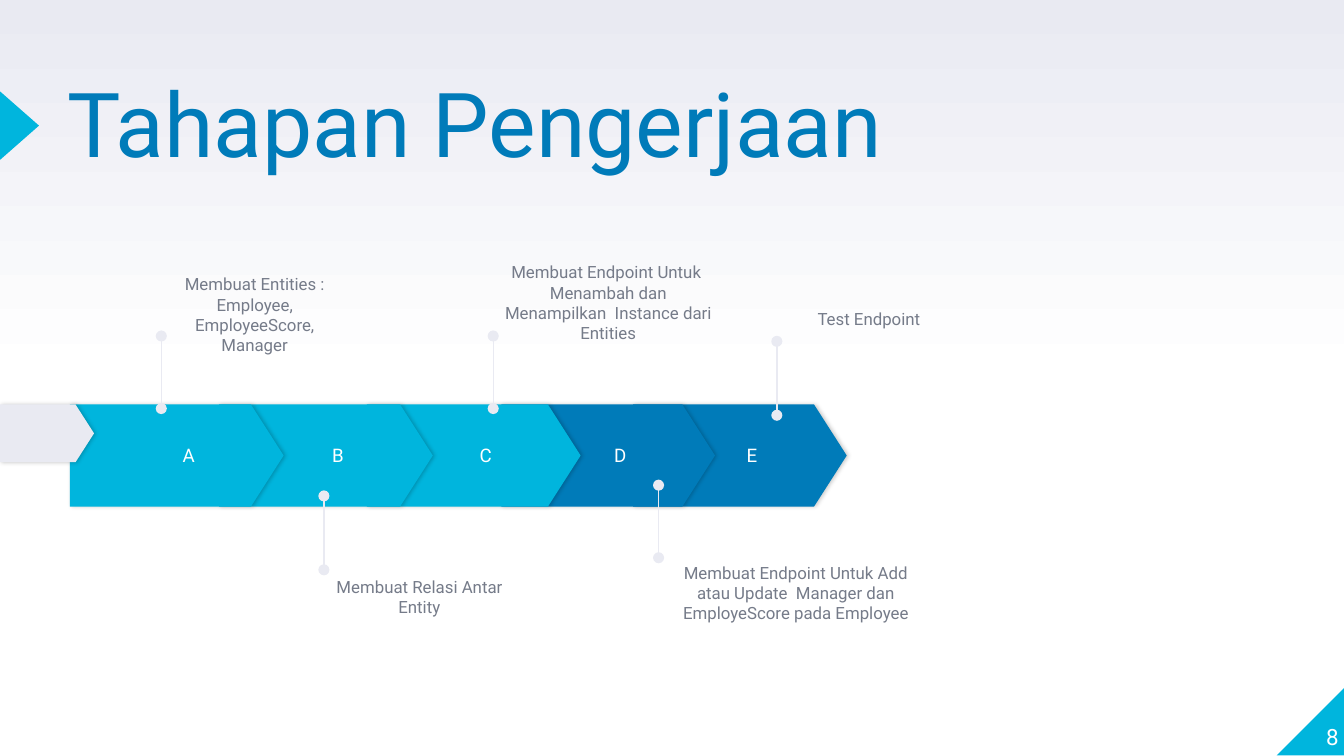
from dataclasses import dataclass

from lxml.etree import SubElement
from pptx import Presentation
from pptx.dml.color import RGBColor
from pptx.enum.shapes import MSO_CONNECTOR, MSO_SHAPE as Preset
from pptx.enum.text import MSO_ANCHOR as Anchor, PP_ALIGN as Align
from pptx.oxml.ns import qn
from pptx.util import Inches, Pt


@dataclass(frozen=True)
class Theme:
    font: str = "Roboto"
    cyan: str = "00B5DD"
    blue: str = "007BB9"
    pale: str = "E9EAF2"
    white: str = "FFFFFF"
    gray: str = "757B89"
    title_size: int = 48
    number_size: int = 12
    stage_size: int = 10
    note_size: int = 9


THEME = Theme()
SLIDE_WIDTH = 10
SLIDE_HEIGHT = SLIDE_WIDTH * 9 / 16

# Stage letter, left edge, colour
STAGES = [
    ("A", 0.52, THEME.cyan),
    ("B", 1.63, THEME.cyan),
    ("C", 2.73, THEME.cyan),
    ("D", 3.73, THEME.blue),
    ("E", 4.71, THEME.blue),
]

# Text, text box (left, top, width), pin (x, lower end, upper end)
NOTES = [
    ("Membuat Entities : Employee, EmployeeScore, Manager",
     (1.21, 2.05, 1.37), (1.2, 3.04, 2.5)),
    ("Membuat Endpoint Untuk  Menambah dan Menampilkan  Instance dari Entities",
     (3.73, 1.96, 1.59), (3.67, 3.04, 2.5)),
    ("Test Endpoint", (5.78, 2.08, 1.37), (5.78, 3.09, 2.54)),
    ("Membuat Relasi Antar Entity",
     (2.43, 4.15, 1.38), (2.41, 4.24, 3.69)),
    ("Membuat Endpoint Untuk Add atau Update  Manager dan "
     "EmployeScore pada Employee", (5, 4.12, 1.84), (4.9, 4.15, 3.61)),
]


def color(value):
    return RGBColor.from_string(value)


def write(shape, text, size, ink, align, anchor, left_inset=0):
    frame = shape.text_frame
    frame.text = text
    frame.word_wrap = True
    frame.vertical_anchor = anchor
    frame.margin_left = Inches(left_inset)
    frame.margin_top = frame.margin_right = frame.margin_bottom = 0
    paragraph = frame.paragraphs[0]
    paragraph.alignment = align
    font = paragraph.runs[0].font
    font.name, font.size = THEME.font, Pt(size)
    font.color.rgb = color(ink)
    return paragraph


def add_text(slide, box, *style):
    shape = slide.shapes.add_textbox(*map(Inches, box))
    write(shape, *style)


def add_preset(slide, preset, box, fill):
    shape = slide.shapes.add_shape(preset, *map(Inches, box))
    shape.fill.solid()
    shape.fill.fore_color.rgb = color(fill)
    shape.line.fill.background()
    shape.shadow.inherit = False
    return shape


def add_arrow(slide, box, fill):
    """Pentagon arrow with a soft shadow to its right."""
    arrow = add_preset(slide, Preset.PENTAGON, box, fill)
    arrow.adjustments[0] = 0.32
    effects = arrow._element.spPr.find(qn("a:effectLst"))
    shadow = SubElement(effects, qn("a:outerShdw"), blurRad=str(Pt(2.2)),
                        dist=str(Pt(0.8)), dir="0", rotWithShape="0")
    shade = SubElement(shadow, qn("a:srgbClr"), val="000000")
    SubElement(shade, qn("a:alpha"), val="20000")
    return arrow


def add_pin(slide, x, bottom, top):
    """Vertical line with a dot at each end."""
    pin = slide.shapes.add_connector(
        MSO_CONNECTOR.STRAIGHT, *map(Inches, (x, bottom, x, top)))
    pin.line.color.rgb = color(THEME.pale)
    pin.line.width = Pt(0.75)
    properties = pin._element.spPr
    line = properties.find(qn("a:ln"))
    for end in ("a:headEnd", "a:tailEnd"):
        SubElement(line, qn(end), type="oval")
    SubElement(properties, qn("a:effectLst"))


def paint_background(slide):
    fill = slide.background.fill
    fill.gradient()
    fill.gradient_angle = 90
    for stop, position, tint in zip(fill.gradient_stops, (0.5, 1),
                                    (THEME.white, THEME.pale)):
        stop.position = position
        stop.color.rgb = color(tint)


def draw_heading(slide, left, top, width, height):
    # Marker pointing in from the slide edge
    marker = add_preset(slide, Preset.ISOSCELES_TRIANGLE,
                        (left - 0.61, top + 0.13, 0.51, 0.29), THEME.cyan)
    marker.rotation = 90
    title = slide.shapes.title
    title.left, title.top = Inches(left), Inches(top)
    title.width, title.height = Inches(width), Inches(height)
    paragraph = write(title, "Tahapan Pengerjaan", THEME.title_size,
                      THEME.blue, Align.LEFT, Anchor.TOP)
    paragraph.line_spacing = 0.8


def draw_page_corner(slide, left, top, size):
    corner = add_preset(slide, Preset.RIGHT_TRIANGLE,
                        (left, top, size, size), THEME.cyan)
    corner._element.spPr.find(qn("a:xfrm")).set("flipH", "1")
    add_text(slide, (left - 0.04, top - 0.04, 0.5, size), "8",
             THEME.number_size, THEME.white, Align.RIGHT, Anchor.BOTTOM)


def draw_process(slide, top, width, height):
    # Later stages lie beneath earlier ones
    for letter, left, fill in reversed(STAGES):
        arrow = add_arrow(slide, (left, top, width, height), fill)
        write(arrow, letter, THEME.stage_size, THEME.white,
              Align.CENTER, Anchor.MIDDLE, 0.3)
    # Lead-in from the slide edge
    add_arrow(slide, (0, top, 0.7, 0.43), THEME.pale)


def draw_notes(slide, height):
    for text, box, pin in NOTES:
        add_pin(slide, *pin)
        add_text(slide, (*box, height), text, THEME.note_size, THEME.gray,
                 Align.CENTER, Anchor.MIDDLE)


def main():
    presentation = Presentation()
    presentation.slide_width = Inches(SLIDE_WIDTH)
    presentation.slide_height = Inches(SLIDE_HEIGHT)
    title_only = presentation.slide_layouts[5]
    slide = presentation.slides.add_slide(title_only)
    paint_background(slide)
    draw_page_corner(slide, 9.5, 5.11, 0.51)
    draw_heading(slide, 0.5, 0.66, 6.17, 1.18)
    draw_process(slide, 3.01, 1.59, 0.76)
    draw_notes(slide, 0.58)
    presentation.save("out.pptx")


if __name__ == "__main__":
    main()
